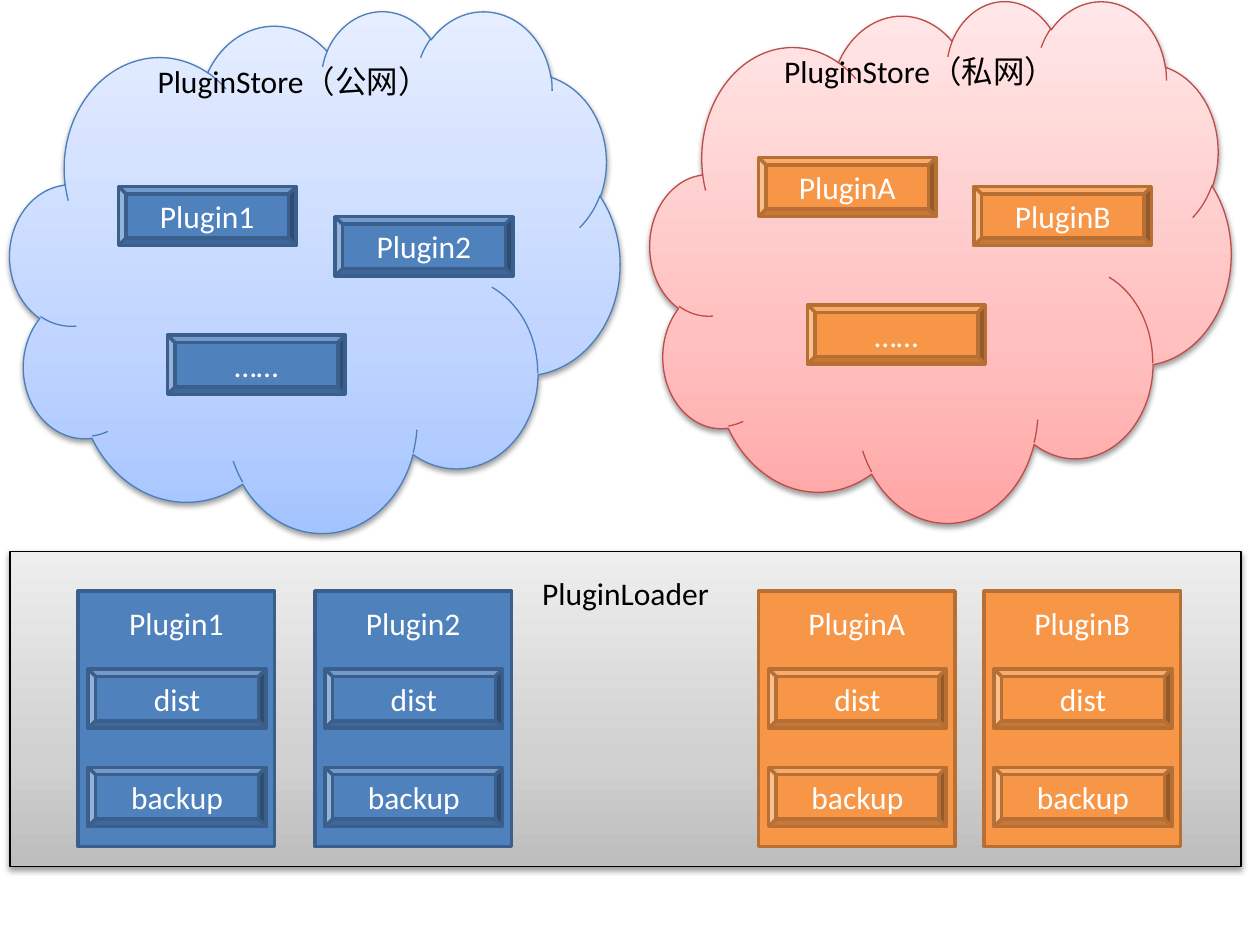
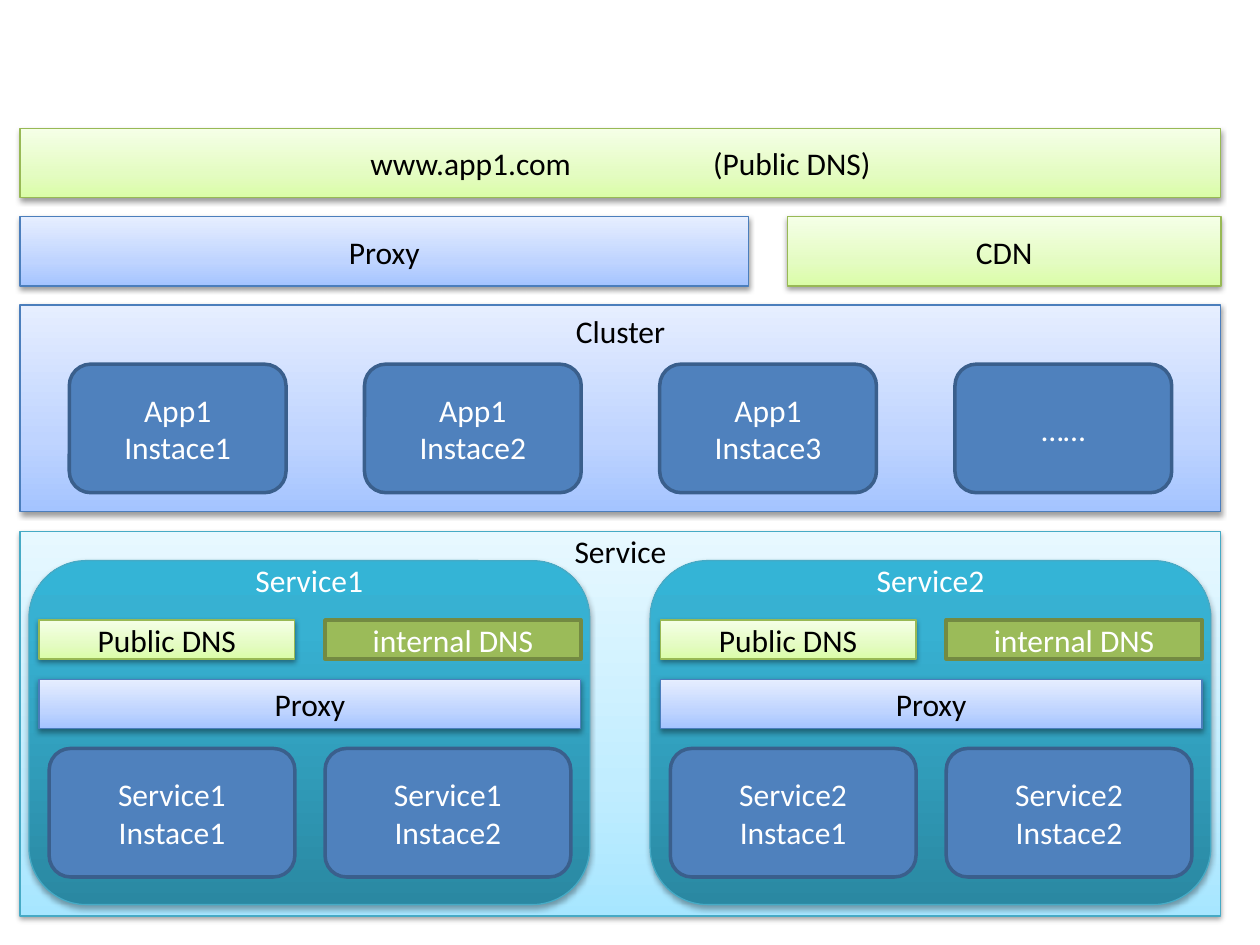
from collections import namedtuple

from lxml.etree import SubElement
from pptx import Presentation
from pptx.dml.color import RGBColor
from pptx.enum.shapes import MSO_SHAPE
from pptx.enum.text import MSO_ANCHOR, PP_ALIGN
from pptx.oxml.ns import qn
from pptx.util import Inches, Pt

COLOURS = {
    "black": "000000", "white": "FFFFFF",
    "blue": "4F81BD", "blue edge": "3A5F8C",
    "orange": "F79646", "orange edge": "B76F34",
    "green": "9BBB59", "green edge": "738A42",
    "grey low": "BDBDBD", "grey mid": "D1D1D1", "grey high": "EEEEEE",
    "sky low": "A4C4FF", "sky mid": "BFD4FF", "sky high": "E6EEFF", "sky edge": "4B7EBC",
    "rose low": "FFA6A5", "rose mid": "FFC0BF", "rose high": "FFE7E7", "rose edge": "BF4C48",
    "lime low": "DAFDA7", "lime mid": "E4FCC2", "lime high": "F5FFE7", "lime edge": "98B955",
    "aqua low": "A7E6FF", "aqua mid": "C1EDFF", "aqua high": "E7F8FF", "aqua edge": "46AAC5",
    "teal low": "2A88A2", "teal mid": "37B1D2", "teal high": "34B4D6", "teal edge": "46AAC5",
    "grey edge": "000000",
}
SOLIDS = ("blue", "orange", "green")
FONT = "Calibri"
FONT_SIZE = 18
LINE_HEIGHT = 0.305

Box = namedtuple("Box", "left top width height")


def inside(box, left, top, width, height):
    return Box(box.left + left, box.top + top, width, height)


def colour(name):
    return RGBColor.from_string(COLOURS[name])


def write(shape, text, ink, align=PP_ALIGN.CENTER):
    para = shape.text_frame.paragraphs[0]
    para.text = text
    para.alignment = align
    for span in para.runs:
        span.font.name = FONT
        span.font.size = Pt(FONT_SIZE)
        span.font.color.rgb = colour(ink)
    return para


def shade(shape, style):
    middle = 80 if style == "teal" else 35
    shape.fill.gradient()
    shape.fill.gradient_angle = 90
    stops = shape._element.spPr.find(qn("a:gradFill")).find(qn("a:gsLst"))
    for stop in list(stops):
        stops.remove(stop)
    for position, level in ((0, "low"), (middle, "mid"), (100, "high")):
        stop = SubElement(stops, qn("a:gs"), pos=str(position * 1000))
        SubElement(stop, qn("a:srgbClr"), val=COLOURS[f"{style} {level}"])


def cast_shadow(shape, style):
    effects = shape._element.spPr.find(qn("a:effectLst"))
    shadow = SubElement(effects, qn("a:outerShdw"), blurRad=str(Pt(3.1)),
                        dist=str(Pt(1.8 if style == "teal" else 1.6)),
                        dir="5400000", rotWithShape="0")
    tint = SubElement(shadow, qn("a:srgbClr"), val=COLOURS["black"])
    SubElement(tint, qn("a:alpha"), val="35000" if style == "teal" else "38000")


def add_block(shapes, box, style, text="", kind=MSO_SHAPE.RECTANGLE):
    shape = shapes.add_shape(kind, *map(Inches, box))
    shape.shadow.inherit = False
    solid = style in SOLIDS
    if solid:
        shape.fill.solid()
        shape.fill.fore_color.rgb = colour(style)
    else:
        shade(shape, style)
        cast_shadow(shape, style)
    shape.line.color.rgb = colour(f"{style} edge")
    shape.line.width = Pt(2 if solid else 0.75)
    shape.text_frame.word_wrap = True
    shape.text_frame.vertical_anchor = MSO_ANCHOR.MIDDLE
    if text:
        write(shape, text, "white" if solid else "black")
    return shape


def add_panel(shapes, box, style, heading, inset):
    panel = add_block(shapes, box, style, heading)
    panel.text_frame.vertical_anchor = MSO_ANCHOR.TOP
    panel.text_frame.margin_top = Inches(inset)


def add_caption(shapes, box, text, ink):
    caption = shapes.add_textbox(*map(Inches, box))
    frame = caption.text_frame
    frame.word_wrap = True
    frame.margin_top = frame.margin_bottom = 0
    write(caption, text, ink)


def add_store(shapes, box, style, heading, plugin_style, plugins):
    add_block(shapes, box, style, kind=MSO_SHAPE.CLOUD)
    add_caption(shapes, inside(box, 0, 0.41, box.width * 0.93, 0.4), heading, "black")
    for name, left, top in plugins:
        add_block(shapes, inside(box, left, top, 1.41, 0.47), plugin_style, name, MSO_SHAPE.BEVEL)


def add_package(shapes, box, style, name):
    group = shapes.add_group_shape()
    add_panel(group.shapes, box, style, name, 0.1)
    for folder, top in (("dist", 0.62), ("backup", 1.4)):
        add_block(group.shapes, inside(box, 0.08, top, 1.41, 0.47), style, folder, MSO_SHAPE.BEVEL)


def add_loader(shapes, box):
    add_panel(shapes, box, "grey", "PluginLoader", 0.18)
    for name, style, left in (("Plugin1", "blue", 0.54), ("Plugin2", "blue", 2.42),
                              ("PluginA", "orange", 5.94), ("PluginB", "orange", 7.73)):
        add_package(shapes, inside(box, left, 0.31, 1.56, 2.03), style, name)


def add_address(shapes, box):
    bar = add_block(shapes, box, "lime")
    bar.text_frame.margin_left = Inches(2.78)
    para = write(bar, "www.app1.com\t(Public DNS)", "black", PP_ALIGN.LEFT)
    tabs = SubElement(para._p.get_or_add_pPr(), qn("a:tabLst"))
    SubElement(tabs, qn("a:tab"), pos=str(Inches(2.72)), algn="l")


def add_cluster(shapes, box):
    add_panel(shapes, box, "sky", "Cluster", 0.06)
    names = [f"App1\nInstace{number}" for number in (1, 2, 3)] + ["……"]
    for index, name in enumerate(names):
        add_block(shapes, inside(box, 0.39 + index * 2.343, 0.47, 1.72, 1.02),
                  "blue", name, MSO_SHAPE.ROUNDED_RECTANGLE)


def add_service(shapes, box, name):
    add_block(shapes, box, "teal", kind=MSO_SHAPE.ROUNDED_RECTANGLE)
    add_caption(shapes, Box(box.left, box.top, box.width, LINE_HEIGHT), name, "white")
    add_block(shapes, inside(box, 0.08, 0.47, 2.03, 0.31), "lime", "Public DNS")
    add_block(shapes, inside(box, 2.35, 0.47, 2.03, 0.31), "green", "internal DNS")
    add_block(shapes, inside(box, 0.08, 0.94, 4.3, 0.39), "sky", "Proxy")
    for number, left in ((1, 0.16), (2, 2.35)):
        add_block(shapes, inside(box, left, 1.49, 1.95, 1.02), "blue",
                  f"{name}\nInstace{number}", MSO_SHAPE.ROUNDED_RECTANGLE)


def add_services(shapes, box):
    add_panel(shapes, box, "aqua", "Service", 0)
    for name, left in (("Service1", 0.07), ("Service2", 5)):
        add_service(shapes, inside(box, left, 0.23, 4.45, 2.73), name)


def build_plugin_slide(page):
    shapes = page.shapes
    add_loader(shapes, Box(0.08, 4.38, 9.77, 2.5))
    add_store(shapes, Box(0.08, 0.08, 4.84, 4.14), "sky", "PluginStore（公网）", "blue",
              (("Plugin1", 0.86, 1.4), ("Plugin2", 2.58, 1.64), ("……", 1.25, 2.58)))
    add_store(shapes, Box(5.16, 0, 4.61, 4.14), "rose", "PluginStore（私网）", "orange",
              (("PluginA", 0.86, 1.25), ("PluginB", 2.57, 1.48), ("……", 1.25, 2.42)))


def build_deployment_slide(page):
    shapes = page.shapes
    add_address(shapes, Box(0.16, 1.02, 9.53, 0.55))
    add_block(shapes, Box(0.16, 1.72, 5.78, 0.55), "sky", "Proxy")
    add_block(shapes, Box(6.25, 1.72, 3.44, 0.55), "lime", "CDN")
    add_cluster(shapes, Box(0.16, 2.42, 9.53, 1.64))
    add_services(shapes, Box(0.16, 4.22, 9.53, 3.05))


def main():
    deck = Presentation()
    deck.slide_width = Inches(10)
    deck.slide_height = Inches(7.5)
    for build in (build_plugin_slide, build_deployment_slide):
        build(deck.slides.add_slide(deck.slide_layouts[6]))
    deck.save("out.pptx")


if __name__ == "__main__":
    main()
